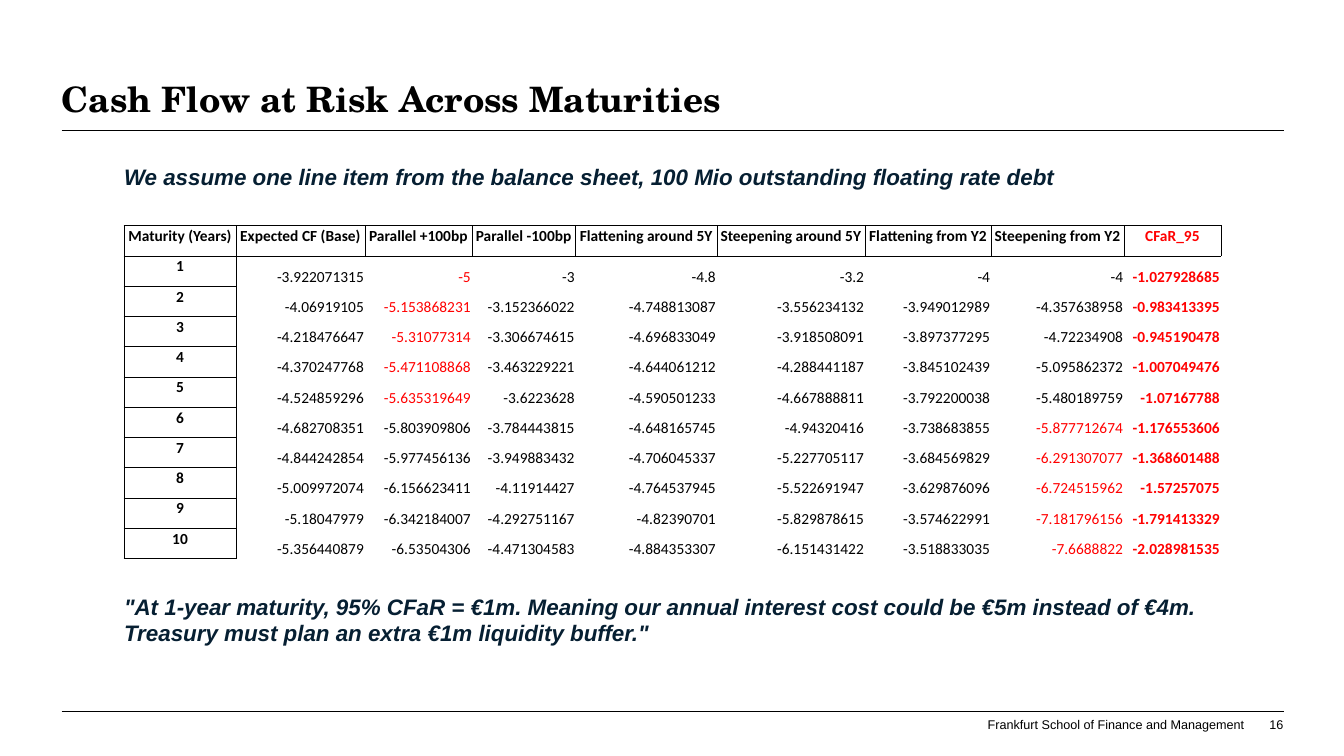
import dataclasses
import lxml.etree
import pptx
import pptx.dml.color
import pptx.enum.shapes
import pptx.enum.text
import pptx.oxml.ns
import pptx.util

ALIGN = pptx.enum.text.PP_ALIGN
ANCHOR = pptx.enum.text.MSO_ANCHOR
WIDTH = pptx.util.Inches(13.33)
HEIGHT = pptx.util.Inches(7.5)


@dataclasses.dataclass(frozen=True)
class Theme:
    black: str = "000000"
    red: str = "FF0000"
    navy: str = "061F32"
    title_font: str = "TeX Gyre Schola"
    body_font: str = "Arial"
    table_font: str = "Calibri"
    title_size: float = 25
    body_size: float = 16
    table_size: float = 11
    footer_size: float = 9
    rule: float = 0.5


THEME = Theme()

TITLE = "Cash Flow at Risk Across Maturities"
ASSUMPTION = ("We assume one line item from the balance sheet, "
              "100 Mio outstanding floating rate debt")
CONCLUSION = ('"At 1-year maturity, 95% CFaR = €1m. Meaning our annual interest cost '
              "could be €5m instead of €4m. Treasury must plan an extra €1m "
              'liquidity buffer."')
FOOTER = "Frankfurt School of Finance and Management"

HEADERS = ["Maturity (Years)", "Expected CF (Base)", "Parallel +100bp",
           "Parallel -100bp", "Flattening around 5Y", "Steepening around 5Y",
           "Flattening from Y2", "Steepening from Y2", "CFaR_95"]
COLUMN_SHARES = [8.33, 9.6, 7.95, 7.73, 10.5, 11.03, 9.38, 9.9, 7.2]
CASH_FLOWS = [
    [-3.922071315, -5, -3, -4.8, -3.2, -4, -4, -1.027928685],
    [-4.06919105, -5.153868231, -3.152366022, -4.748813087,
     -3.556234132, -3.949012989, -4.357638958, -0.983413395],
    [-4.218476647, -5.31077314, -3.306674615, -4.696833049,
     -3.918508091, -3.897377295, -4.72234908, -0.945190478],
    [-4.370247768, -5.471108868, -3.463229221, -4.644061212,
     -4.288441187, -3.845102439, -5.095862372, -1.007049476],
    [-4.524859296, -5.635319649, -3.6223628, -4.590501233,
     -4.667888811, -3.792200038, -5.480189759, -1.07167788],
    [-4.682708351, -5.803909806, -3.784443815, -4.648165745,
     -4.94320416, -3.738683855, -5.877712674, -1.176553606],
    [-4.844242854, -5.977456136, -3.949883432, -4.706045337,
     -5.227705117, -3.684569829, -6.291307077, -1.368601488],
    [-5.009972074, -6.156623411, -4.11914427, -4.764537945,
     -5.522691947, -3.629876096, -6.724515962, -1.57257075],
    [-5.18047979, -6.342184007, -4.292751167, -4.82390701,
     -5.829878615, -3.574622991, -7.181796156, -1.791413329],
    [-5.356440879, -6.53504306, -4.471304583, -4.884353307,
     -6.151431422, -3.518833035, -7.6688822, -2.028981535],
]


def across(percent):
    return round(WIDTH * percent / 100)


def down(percent):
    return round(HEIGHT * percent / 100)


def area(x, y, w, h):
    return across(x), down(y), across(w), down(h)


def write(tf, text, font, size, color, bold=False, italic=False, align=ALIGN.LEFT):
    tf.text = text
    p = tf.paragraphs[0]
    p.alignment = align
    r = p.runs[0]
    r.font.name = font
    r.font.size = pptx.util.Pt(size)
    r.font.bold = bold
    r.font.italic = italic
    r.font.color.rgb = pptx.dml.color.RGBColor.from_string(color)


def clear_margins(tf, anchor, wrap=True):
    tf.margin_left = tf.margin_right = tf.margin_top = tf.margin_bottom = 0
    tf.vertical_anchor = anchor
    tf.word_wrap = wrap


def add_title(s):
    sp = s.shapes.title
    sp.left, sp.top, sp.width, sp.height = area(4.58, 5.2, 90.92, 10.67)
    clear_margins(sp.text_frame, ANCHOR.BOTTOM)
    write(sp.text_frame, TITLE, THEME.title_font, THEME.title_size, THEME.black, bold=True)


def add_statement(s, text, y, h):
    tf = s.shapes.add_textbox(*area(9.23, y, 79.82, h)).text_frame
    clear_margins(tf, ANCHOR.TOP)
    write(tf, text, THEME.body_font, THEME.body_size, THEME.navy, bold=True, italic=True)


def add_footer_text(s, text, x, w, wrap):
    tf = s.shapes.add_textbox(*area(x, 94.8, w, 2)).text_frame
    clear_margins(tf, ANCHOR.BOTTOM, wrap)
    write(tf, text, THEME.body_font, THEME.footer_size, THEME.black, align=ALIGN.RIGHT)


def add_rule(s, y):
    line = s.shapes.add_connector(pptx.enum.shapes.MSO_CONNECTOR.STRAIGHT,
                                  across(4.58), down(y), across(95.5), down(y))
    line.line.color.rgb = pptx.dml.color.RGBColor.from_string(THEME.black)
    line.line.width = pptx.util.Pt(THEME.rule)
    lxml.etree.SubElement(line._element.spPr, pptx.oxml.ns.qn("a:effectLst"))


def set_borders(cell, sides):
    qn = pptx.oxml.ns.qn
    tcPr = cell._tc.get_or_add_tcPr()
    for side in "LRTB":
        ln = lxml.etree.SubElement(tcPr, qn("a:ln" + side))
        if side in sides:
            ln.set("w", str(pptx.util.Pt(THEME.rule)))
            fill = lxml.etree.SubElement(ln, qn("a:solidFill"))
            lxml.etree.SubElement(fill, qn("a:srgbClr")).set("val", THEME.black)
        else:
            lxml.etree.SubElement(ln, qn("a:noFill"))


def fill_cell(cell, text, color, label, bold, borders):
    set_borders(cell, borders)
    cell.fill.background()
    cell.margin_left = cell.margin_right = cell.margin_top = pptx.util.Inches(0.01)
    cell.margin_bottom = 0
    cell.vertical_anchor = ANCHOR.TOP if label else ANCHOR.BOTTOM
    write(cell.text_frame, text, THEME.table_font, THEME.table_size, color,
          bold=bold, align=ALIGN.CENTER if label else ALIGN.RIGHT)


def add_cash_flow_table(s):
    rows = [HEADERS] + [[year, *flows] for year, flows in enumerate(CASH_FLOWS, 1)]
    last = len(HEADERS) - 1
    frame = s.shapes.add_table(len(rows), len(HEADERS),
                               *area(9.23, 29.87, sum(COLUMN_SHARES), 44))
    table = frame.table
    table.first_row = table.horz_banding = False
    for column, share in zip(table.columns, COLUMN_SHARES):
        column.width = across(share)
    for i, values in enumerate(rows):
        table.rows[i].height = down(4)
        worst = min(values[2:last]) if i else None
        for j, value in enumerate(values):
            label = i == 0 or j == 0
            red = j == last or (1 < j and value == worst)
            borders = "LRTB" if label else "L" * (j == 1) + "T" * (i == 1)
            fill_cell(table.cell(i, j), str(value), THEME.red if red else THEME.black,
                      label, label or j == last, borders)


def main():
    prs = pptx.Presentation()
    prs.slide_width, prs.slide_height = WIDTH, HEIGHT
    s = prs.slides.add_slide(prs.slide_layouts[5])
    add_footer_text(s, FOOTER, 73.29, 19.28, False)
    add_footer_text(s, "16", 92.8, 2.7, True)
    for y in (94.13, 17.2):
        add_rule(s, y)
    add_title(s)
    add_cash_flow_table(s)
    add_statement(s, CONCLUSION, 78.4, 7.2)
    add_statement(s, ASSUMPTION, 21.6, 3.6)
    prs.save("out.pptx")


if __name__ == "__main__":
    main()
